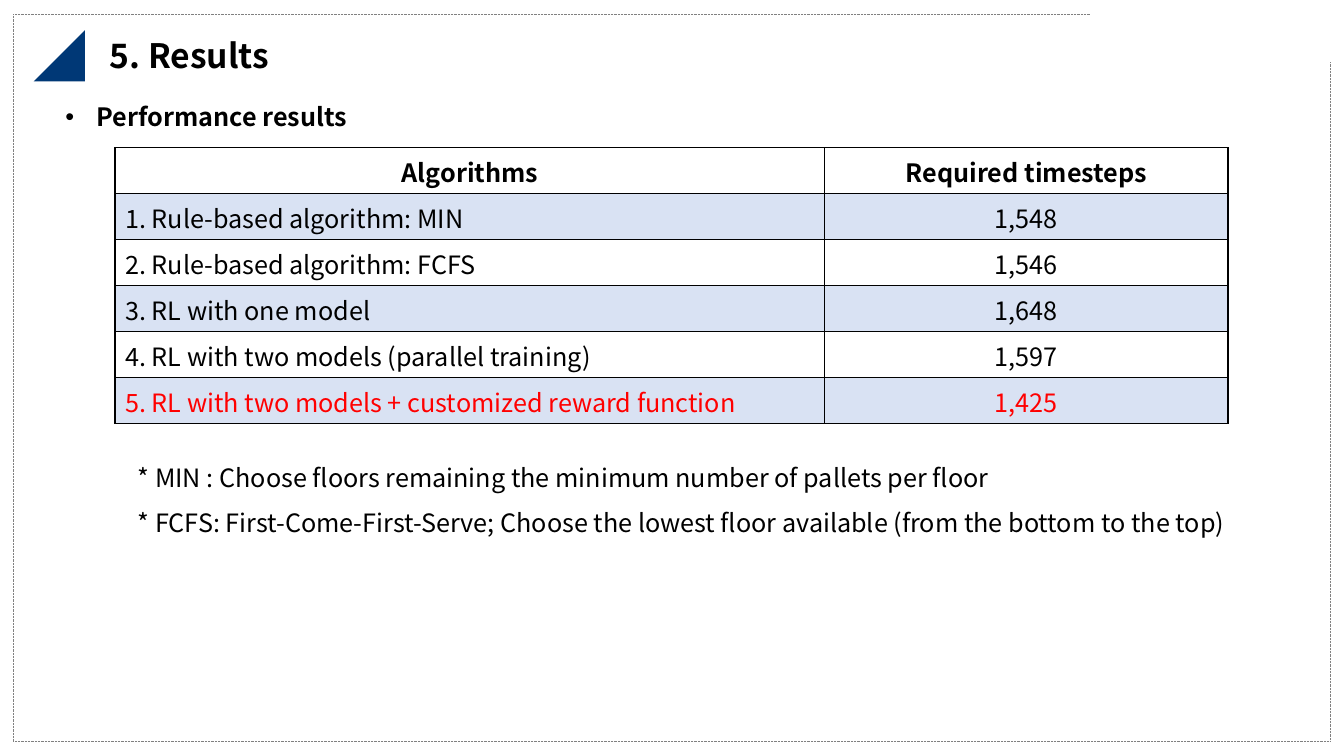
from pptx import Presentation
from pptx.dml.color import RGBColor
from pptx.enum.dml import MSO_LINE
from pptx.enum.shapes import MSO_CONNECTOR, MSO_SHAPE
from pptx.enum.text import MSO_AUTO_SIZE, PP_ALIGN
from pptx.oxml import parse_xml
from pptx.oxml.ns import nsdecls, qn
from pptx.util import Inches, Pt
from lxml import etree

STRAIGHT = MSO_CONNECTOR.STRAIGHT
TRIANGLE = MSO_SHAPE.RIGHT_TRIANGLE
DOTTED = MSO_LINE.ROUND_DOT
GROW = MSO_AUTO_SIZE.SHAPE_TO_FIT_TEXT
CENTER, LEFT = PP_ALIGN.CENTER, PP_ALIGN.LEFT

THEME = {
    "font": "Noto Sans CJK KR",
    "title": Pt(24),
    "body": Pt(18),
    "text": RGBColor(0x00, 0x00, 0x00),
    "best": RGBColor(0xFF, 0x00, 0x00),
    "accent": RGBColor(0x00, 0x38, 0x76),
    "frame": RGBColor(0x80, 0x80, 0x80),
    "band": RGBColor(0x44, 0x72, 0xC4),
}

prs = Presentation()
prs.slide_width, prs.slide_height = Inches(13.33), Inches(7.5)
COL, ROW = prs.slide_width / 160, prs.slide_height / 90
slide = prs.slides.add_slide(prs.slide_layouts[6])


def grid(x, y, w, h):
    return int(x * COL), int(y * ROW), int(w * COL), int(h * ROW)


def style(p, size, bold=False, color=THEME["text"]):
    for r in p.runs:
        r.font.name = THEME["font"]
        r.font.size = size
        r.font.bold = bold
        r.font.color.rgb = color


s = slide.shapes.add_shape(TRIANGLE, *grid(4, 3.6, 6.1, 6.1))
s.element.spPr.find(qn("a:xfrm")).set("flipH", "1")
s.shadow.inherit = False
s.fill.solid()
s.fill.fore_color.rgb = THEME["accent"]
s.line.fill.background()

left, top, right, bottom = 1.6, 1.7, 158.4, 88.3
frame_lines = [
    (left, bottom, right, bottom),
    (right, 7.4, right, bottom),
    (left, top, left, bottom),
    (left, top, 129.8, top),
]
for ends in frame_lines:
    s = slide.shapes.add_connector(STRAIGHT, *grid(*ends))
    s.line.color.rgb = THEME["frame"]
    s.line.width = Pt(0.5)
    s.line.dash_style = DOTTED
    etree.SubElement(s.element.spPr, qn("a:effectLst"))

texts = [
    ((11.9, 3.6, 99, 6), "5. Results", THEME["title"], True, 1, False),
    ((6.6, 9.7, 61.4, 6), "Performance results", THEME["body"], True, 1.5, True),
    ((15.2, 52.6, 137, 11.4),
     "* MIN : Choose floors remaining the minimum number of pallets per floor\n"
     "* FCFS: First-Come-First-Serve; Choose the lowest floor available (from the bottom to the top)",
     THEME["body"], False, 1.5, False),
]
for place, text, size, bold, spacing, bulleted in texts:
    tf = slide.shapes.add_textbox(*grid(*place)).text_frame
    tf.word_wrap = True
    tf.auto_size = GROW
    tf.text = text
    for p in tf.paragraphs:
        p.line_spacing = spacing
        if bulleted:
            pPr = p._p.get_or_add_pPr()
            pPr.set("marL", str(Inches(0.31)))
            pPr.set("indent", str(-Inches(0.31)))
            etree.SubElement(pPr, qn("a:buFont")).set("typeface", "Arial")
            etree.SubElement(pPr, qn("a:buChar")).set("char", "•")
        style(p, size, bold)

results = [
    ("Algorithms", "Required timesteps"),
    ("1. Rule-based algorithm: MIN", "1,548"),
    ("2. Rule-based algorithm: FCFS", "1,546"),
    ("3. RL with one model", "1,648"),
    ("4. RL with two models (parallel training)", "1,597"),
    ("5. RL with two models + customized reward function", "1,425"),
]
col_widths = (84.5, 48)
row_height = 5.48
table = slide.shapes.add_table(
    len(results), len(col_widths),
    *grid(13.7, 17.6, sum(col_widths), row_height * len(results))).table
for column, width in zip(table.columns, col_widths):
    column.width = int(width * COL)

for i, values in enumerate(results):
    table.rows[i].height = int(row_height * ROW)
    header, best = i == 0, i == len(results) - 1
    for j, value in enumerate(values):
        cell = table.cell(i, j)
        tcPr = cell._tc.get_or_add_tcPr()
        for side in ("lnL", "lnR", "lnT", "lnB"):
            tcPr.append(parse_xml(
                f'<a:{side} {nsdecls("a")} w="{Pt(1)}"><a:solidFill>'
                f'<a:srgbClr val="{THEME["text"]}"/></a:solidFill></a:{side}>'))
        if i % 2:
            cell.fill.solid()
            cell.fill.fore_color.rgb = THEME["band"]
            color = tcPr.find(qn("a:solidFill")).find(qn("a:srgbClr"))
            etree.SubElement(color, qn("a:alpha")).set("val", "20000")
        else:
            cell.fill.background()
        p = cell.text_frame.paragraphs[0]
        p.text = value
        p.alignment = CENTER if header or j else LEFT
        style(p, THEME["body"], header, THEME["best" if best else "text"])

prs.save("out.pptx")
